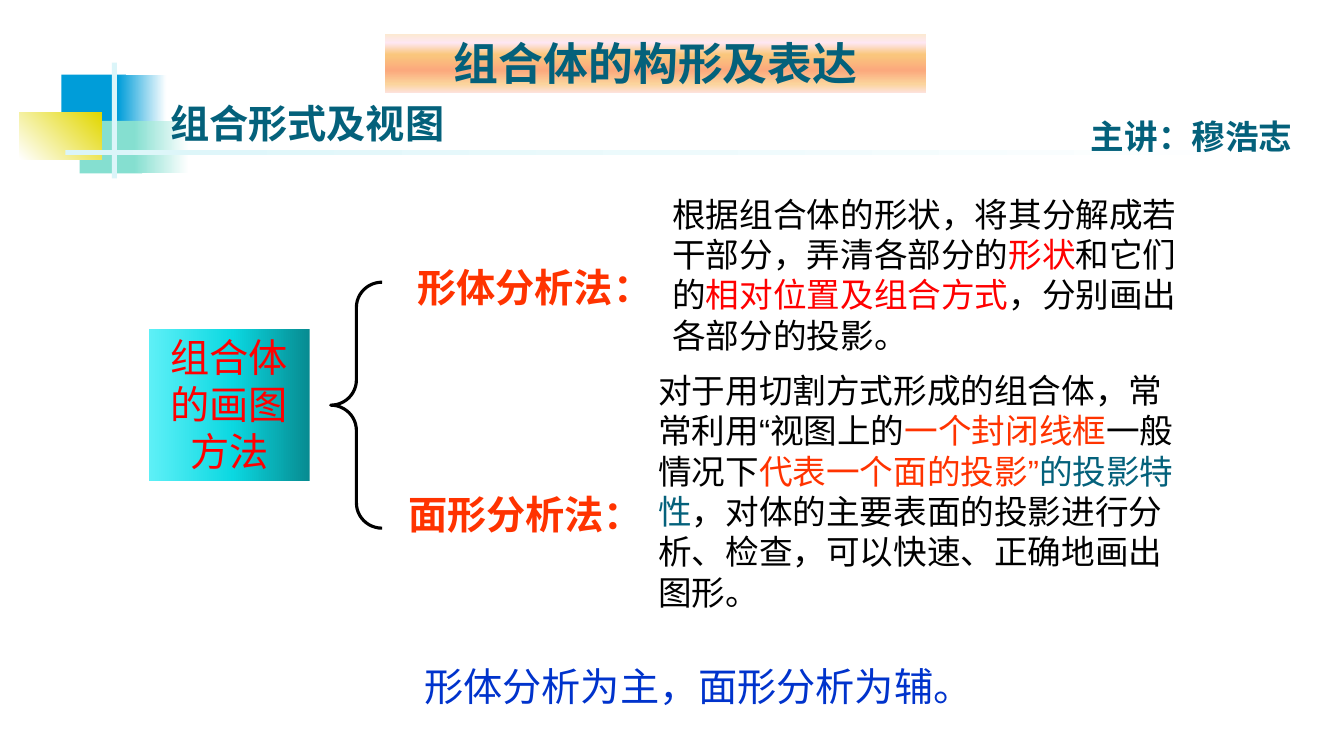
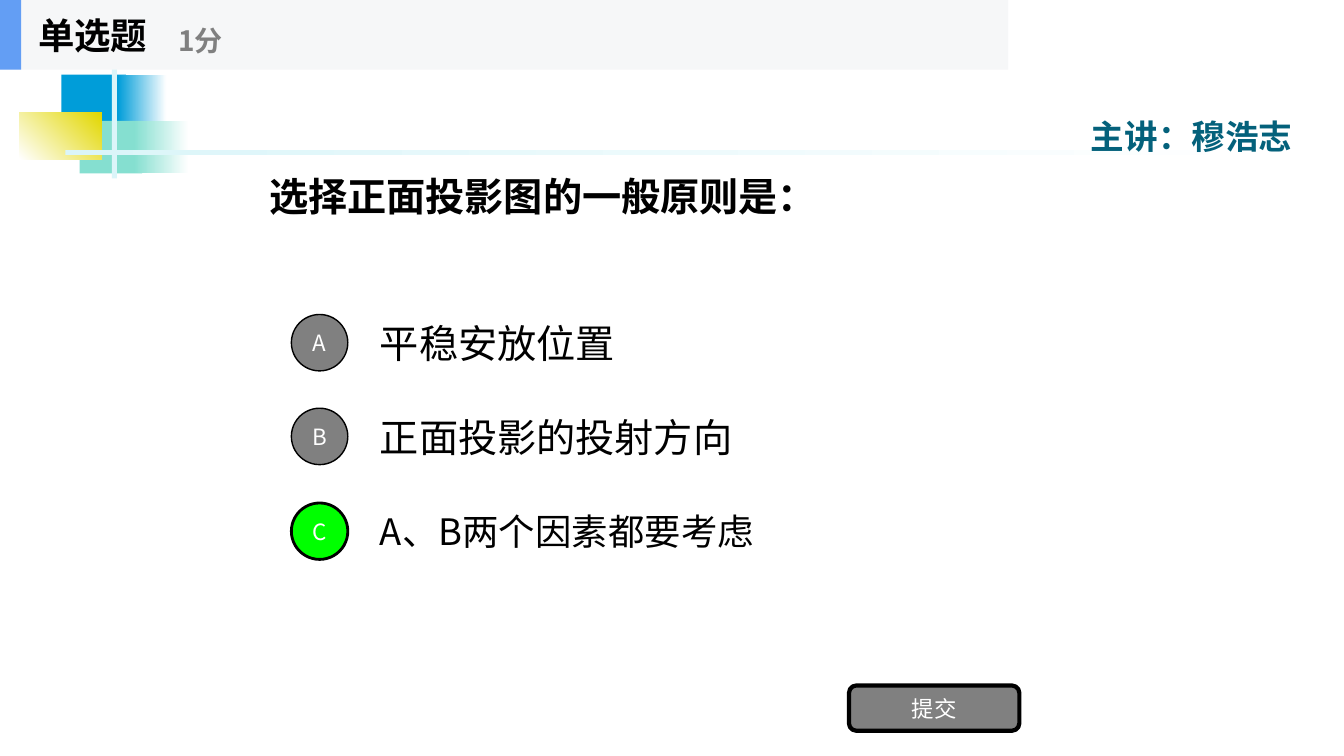
from dataclasses import dataclass
from typing import Optional, Union

from lxml import etree
from pptx import Presentation
from pptx import util as u
from pptx.dml.color import RGBColor
from pptx.enum import shapes, text
from pptx.oxml import ns

PX = 9144  # EMU per px, 100 px to the inch


@dataclass(frozen=True)
class Theme:
    sans: str = "Noto Sans CJK SC"
    latin: str = "Arial"
    black: str = "000000"
    white: str = "FFFFFF"
    grey: str = "808080"
    teal: str = "04617B"
    sky: str = "009DD9"
    mint: str = "85DFD0"
    yellow: str = "E2D700"
    ice: str = "DBF5F9"
    red: str = "FF0000"
    orange: str = "FF3300"
    blue: str = "0033CC"
    green: str = "00FF00"
    bar: str = "F6F7F8"
    accent: str = "639EF4"
    banner: int = 32
    heading: int = 28
    option: int = 26
    body: int = 24
    small: int = 20
    button: int = 16


T = Theme()


@dataclass(frozen=True)
class Box:
    x: int
    y: int
    w: int
    h: int


@dataclass(frozen=True)
class Gradient:
    stops: tuple[tuple[int, str], ...]
    angle: int = 0


@dataclass(frozen=True)
class Span:
    text: str
    color: str = T.black


@dataclass(frozen=True)
class Label:
    spans: tuple[Span, ...]
    size: int
    bold: bool = False
    font: str = T.sans
    center: bool = False
    middle: bool = True


@dataclass(frozen=True)
class Figure:
    box: Box
    fill: Union[str, Gradient, None] = None
    kind: shapes.MSO_SHAPE = shapes.MSO_SHAPE.RECTANGLE
    line: Optional[str] = None
    weight: float = 1
    label: Optional[Label] = None
    adjust: tuple[float, ...] = ()


@dataclass(frozen=True)
class Note:
    box: Box
    label: Label


def label(words: str, color: str, size: int, **style) -> Label:
    return Label((Span(words, color),), size, **style)


def emu(box: Box) -> tuple[u.Emu, ...]:
    return tuple(u.Emu(n * PX) for n in (box.x, box.y, box.w, box.h))


def write(frame, content: Label) -> None:
    frame.word_wrap = True
    anchors = text.MSO_ANCHOR
    frame.vertical_anchor = anchors.MIDDLE if content.middle else anchors.TOP
    para = frame.paragraphs[0]
    para.alignment = text.PP_ALIGN.CENTER if content.center else text.PP_ALIGN.LEFT
    for item in content.spans:
        span = para.add_run()
        span.text = item.text
        span.font.size = u.Pt(content.size)
        span.font.bold = content.bold
        span.font.color.rgb = RGBColor.from_string(item.color)
        span.font.name = content.font
        # East Asian glyphs take their own typeface
        props = span.font._element
        etree.SubElement(props, ns.qn("a:ea")).set("typeface", content.font)


def paint_gradient(shape, gradient: Gradient) -> None:
    shape.fill.gradient()
    grad = shape._element.spPr.find(ns.qn("a:gradFill"))
    stops = grad.find(ns.qn("a:gsLst"))
    for stop in list(stops):
        stops.remove(stop)
    for percent, color in gradient.stops:
        stop = etree.SubElement(stops, ns.qn("a:gs"))
        stop.set("pos", str(percent * 1000))
        etree.SubElement(stop, ns.qn("a:srgbClr")).set("val", color)
    grad.find(ns.qn("a:lin")).set("ang", str(gradient.angle * 60000))


def draw(page, item: Union[Figure, Note]) -> None:
    if isinstance(item, Note):
        write(page.shapes.add_textbox(*emu(item.box)).text_frame, item.label)
        return
    shape = page.shapes.add_shape(item.kind, *emu(item.box))
    shape.shadow.inherit = False
    for index, value in enumerate(item.adjust):
        shape.adjustments[index] = value
    if isinstance(item.fill, Gradient):
        paint_gradient(shape, item.fill)
    elif item.fill:
        shape.fill.solid()
        shape.fill.fore_color.rgb = RGBColor.from_string(item.fill)
    else:
        shape.fill.background()
    if item.line:
        shape.line.color.rgb = RGBColor.from_string(item.line)
        shape.line.width = u.Pt(item.weight)
    else:
        shape.line.fill.background()
    if item.label:
        write(shape.text_frame, item.label)


def fade(color: str) -> Gradient:
    return Gradient(((0, color), (100, T.white)))


# Emblem, rule and lecturer shared by every slide
COMMON = (
    Figure(Box(61, 74, 64, 52), T.sky),
    Figure(Box(117, 74, 48, 52), fade(T.sky)),
    Figure(Box(79, 120, 62, 52), T.mint),
    Figure(Box(133, 120, 54, 52), fade(T.mint)),
    Figure(Box(19, 112, 82, 46), Gradient(((0, T.white), (100, T.yellow)), 315)),
    Figure(Box(111, 62, 5, 115), T.ice),
    Figure(Box(65, 149, 1200, 5), fade(T.ice)),
    Note(Box(1047, 109, 270, 51),
         label("主讲：穆浩志", T.teal, T.body, bold=True, center=True)),
)


def method_items() -> list[Union[Figure, Note]]:
    topic_fill = Gradient(((0, "078B91"), (48, "0BD8E1"), (100, "5EF0F7")), 180)
    banner_fill = Gradient(((0, "FBEAC7"), (18, "FEE7F2"), (36, "FAC77D"),
                            (61, "FBA97D"), (82, "FBD49C"), (100, "FEE7F2")), 90)
    shape_method = (
        Span("根据组合体的形状，将其分解成若干部分，弄清各部分的"),
        Span("形状", T.red),
        Span("和它们的"),
        Span("相对位置及组合方式", T.red),
        Span("，分别画出各部分的投影。"),
    )
    face_method = (
        Span("对于用切割方式形成的组合体，常常利用“视图上的"),
        Span("一个封闭线框", T.orange),
        Span("一般情况下"),
        Span("代表一个面的投影”", T.orange),
        Span("的投影特性", T.teal),
        Span("，对体的主要表面的投影进行分析、检查，可以快速、正确地画出图形。"),
    )
    return [
        # Topic and brace
        Figure(Box(148, 326, 159, 151), topic_fill,
               label=label("组合体的画图方法", T.red, T.heading,
                           center=True, middle=False)),
        Figure(Box(328, 280, 51, 244), kind=shapes.MSO_SHAPE.LEFT_BRACE,
               line=T.black, weight=2.25, adjust=(0.49, 0.5)),
        # Two methods with their explanations
        Note(Box(404, 256, 229, 57),
             label("形体分析法：", T.orange, T.heading, bold=True, font=T.latin)),
        Note(Box(657, 186, 532, 172), Label(shape_method, T.body, font=T.latin)),
        Note(Box(395, 481, 232, 57),
             label("面形分析法：", T.orange, T.heading, bold=True, font=T.latin)),
        Note(Box(643, 361, 546, 252), Label(face_method, T.body, font=T.latin)),
        # Conclusion
        Note(Box(411, 652, 570, 57),
             label("形体分析为主，面形分析为辅。", T.blue, T.heading, font=T.latin)),
        # Headings
        Note(Box(159, 93, 296, 57),
             label("组合形式及视图", T.teal, T.heading, bold=True)),
        Figure(Box(379, 31, 543, 64), banner_fill, line=T.white, weight=4.5,
               label=label("组合体的构形及表达", T.teal, T.banner, bold=True,
                           center=True, middle=False)),
    ]


@dataclass(frozen=True)
class Option:
    letter: str
    words: str
    size: int = T.heading
    fill: str = T.grey
    weight: float = 1


OPTIONS = (
    Option("A", "平稳安放位置"),
    Option("B", "正面投影的投射方向"),
    Option("C", "A、B两个因素都要考虑", T.option, T.green, 2),
)


def quiz_items() -> list[Union[Figure, Note]]:
    items: list[Union[Figure, Note]] = [
        Note(Box(257, 140, 800, 109),
             label("选择正面投影图的一般原则是：", T.black, T.heading, bold=True)),
    ]
    # Answers at an even pitch
    for index, option in enumerate(OPTIONS):
        top = 305 + index * 187 // 2
        items += [
            Note(Box(367, top, 700, 70), label(option.words, T.black, option.size)),
            Figure(Box(289, top + 7, 56, 56), option.fill, shapes.MSO_SHAPE.OVAL,
                   T.black, option.weight,
                   label(option.letter, T.white, T.button, center=True)),
        ]
    return items + [
        # Submit button
        Figure(Box(842, 680, 169, 45), T.grey, shapes.MSO_SHAPE.ROUNDED_RECTANGLE,
               T.black, 3, label("提交", T.white, T.button, center=True)),
        # Question type bar
        Figure(Box(0, 0, 1000, 69), T.bar),
        Figure(Box(0, 0, 21, 69), T.accent),
        Note(Box(28, 0, 208, 69), label("单选题", T.black, T.option, bold=True)),
        Note(Box(167, 12, 250, 56), label("1分", T.grey, T.small, bold=True)),
    ]


def main() -> None:
    deck = Presentation()
    deck.slide_width, deck.slide_height = u.Emu(1333 * PX), u.Emu(750 * PX)
    for items in (method_items(), quiz_items()):
        page = deck.slides.add_slide(deck.slide_layouts[6])
        for item in (*COMMON, *items):
            draw(page, item)
    deck.save("out.pptx")


if __name__ == "__main__":
    main()
